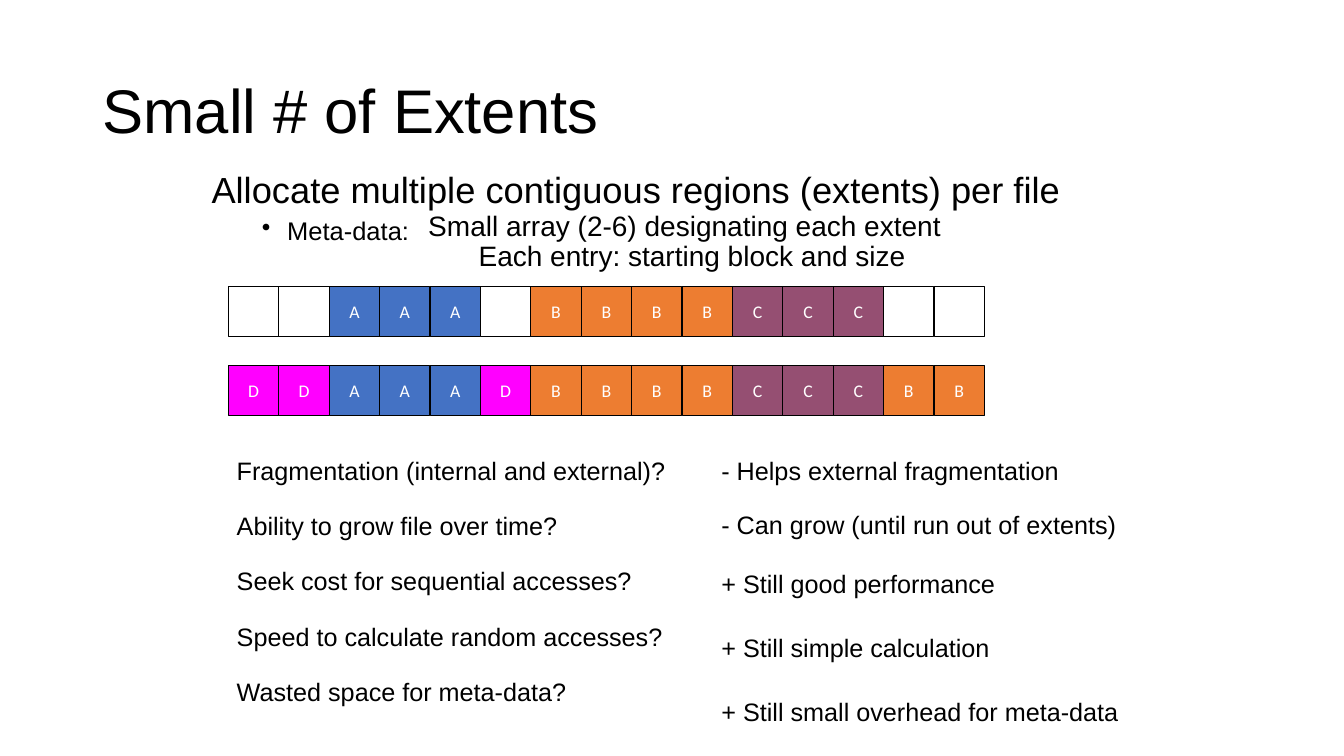
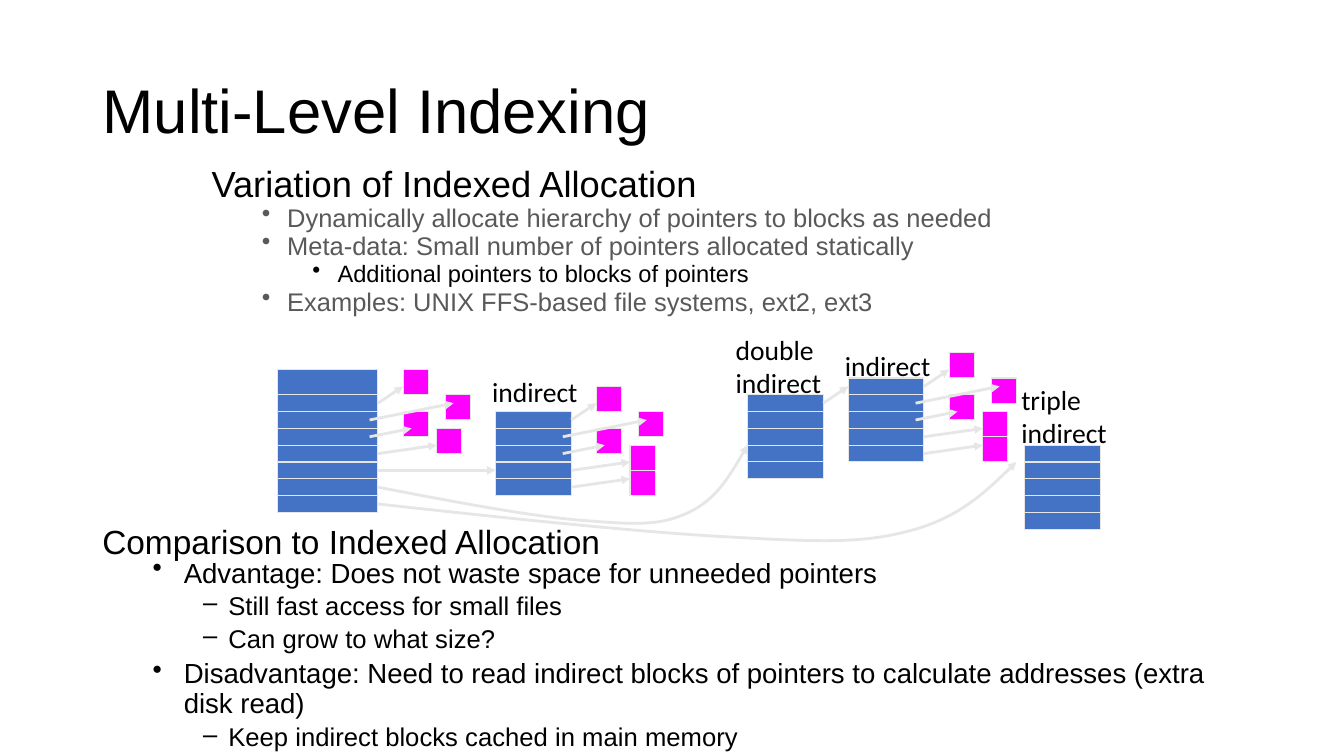
from dataclasses import dataclass, replace

import pptx
import pptx.dml.color
import pptx.enum.shapes
import pptx.enum.text
import pptx.oxml
import pptx.oxml.ns
import pptx.util

RGBColor = pptx.dml.color.RGBColor
Pt = pptx.util.Pt
qn = pptx.oxml.ns.qn
ALIGN = pptx.enum.text.PP_ALIGN
ANCHOR = pptx.enum.text.MSO_ANCHOR

BLACK = RGBColor(0x00, 0x00, 0x00)
WHITE = RGBColor(0xFF, 0xFF, 0xFF)
GREY = RGBColor(0x59, 0x59, 0x59)
PALE = RGBColor(0xE7, 0xE6, 0xE6)
BLUE = RGBColor(0x44, 0x72, 0xC4)
ORANGE = RGBColor(0xED, 0x7D, 0x31)
PURPLE = RGBColor(0x95, 0x4F, 0x72)
MAGENTA = RGBColor(0xFF, 0x00, 0xFF)

FILE_COLORS = {" ": WHITE, "A": BLUE, "B": ORANGE, "C": PURPLE, "D": MAGENTA}
EMU_PER_PX = 7620


def px(length):
    return pptx.util.Emu(length * EMU_PER_PX)


@dataclass(frozen=True)
class TextStyle:
    size: float
    color: RGBColor = BLACK
    font: str = "Arial"
    spacing: float = 0.9
    before: float = 0
    level: int = 0
    indent: int = 0
    hang: int = 0
    bullet: str = ""
    align: ALIGN = ALIGN.LEFT


TITLE = TextStyle(44)
HEADING = TextStyle(25.9)
POINT = TextStyle(18.2, before=5, level=1, indent=90, hang=30, bullet="•")
TIGHT_HEADING = replace(HEADING, spacing=0.7)
TIGHT_POINT = replace(POINT, spacing=0.7, color=GREY)
TIGHT_SUBPOINT = replace(TIGHT_POINT, size=16.9, color=BLACK, level=2, indent=150)
COMPARISON = TextStyle(23.9)
VERDICT = TextStyle(19.7, before=4, level=1, indent=97, hang=37, bullet="•")
REASON = TextStyle(18.3, before=4, level=2, indent=150, hang=30, bullet="–")
DETAIL = TextStyle(20)
QUESTION = TextStyle(18, before=20)
ANSWER = TextStyle(18)
BLOCK_NAME = TextStyle(12.7, WHITE, "Calibri", spacing=1, align=ALIGN.CENTER)
NODE_LABEL = TextStyle(19.7, font="Calibri", spacing=1)


class Deck:
    def __init__(self):
        self.presentation = pptx.Presentation()
        self.presentation.slide_width = px(1600)
        self.presentation.slide_height = px(900)
        self.slide = None

    def new_slide(self, heading):
        self.slide = self.presentation.slides.add_slide(self.presentation.slide_layouts[5])
        title = self.slide.shapes.title
        title.left, title.top, title.width, title.height = map(px, (110, 48, 1380, 174))
        self.set_lines(title.text_frame, [(heading, TITLE)])
        title.text_frame.vertical_anchor = ANCHOR.MIDDLE

    def set_lines(self, frame, lines):
        frame.word_wrap = True
        frame.auto_size = pptx.enum.text.MSO_AUTO_SIZE.NONE
        for number, (words, style) in enumerate(lines):
            paragraph = frame.add_paragraph() if number else frame.paragraphs[0]
            paragraph.text = words
            paragraph.level = style.level
            paragraph.alignment = style.align
            paragraph.line_spacing = style.spacing
            paragraph.space_before = Pt(style.before if number else 0)
            properties = paragraph._p.get_or_add_pPr()
            properties.set("marL", str(px(style.indent)))
            properties.set("indent", str(px(-style.hang)))
            if style.bullet:
                bullet = pptx.oxml.parse_xml(
                    f'<a:buChar {pptx.oxml.ns.nsdecls("a")} char="{style.bullet}"/>')
                properties.append(bullet)
            for run in paragraph.runs:
                run.font.size = Pt(style.size)
                run.font.name = style.font
                run.font.color.rgb = style.color

    def text(self, left, top, width, height, *lines):
        box = self.slide.shapes.add_textbox(*map(px, (left, top, width, height)))
        self.set_lines(box.text_frame, lines)

    def block(self, left, top, width, height, fill, outline=PALE, name=""):
        block = self.slide.shapes.add_shape(
            pptx.enum.shapes.MSO_SHAPE.RECTANGLE, *map(px, (left, top, width, height)))
        block.shadow.inherit = False
        block.fill.solid()
        block.fill.fore_color.rgb = fill
        block.line.color.rgb = outline
        block.line.width = Pt(0.75)
        if name:
            self.set_lines(block.text_frame, [(name, BLOCK_NAME)])
            block.text_frame.vertical_anchor = ANCHOR.MIDDLE

    def disk(self, left, top, layout, side=60):
        for position, file in enumerate(layout):
            self.block(left + position * side, top, side, side,
                       FILE_COLORS[file], BLACK, file.strip())

    def node(self, left, top, width=90, height=100, first_row=20):
        self.block(left, top, width, height, BLUE)
        for row in range(first_row, height, 40):
            self.block(left, top + row, width, 20, BLUE)

    def point_arrow(self, pointer):
        pointer.line.color.rgb = PALE
        pointer.line.width = Pt(2)
        line = pointer.line._get_or_add_ln()
        line.append(line.makeelement(qn("a:tailEnd"), {"type": "triangle"}))

    def arrow(self, start, end):
        pointer = self.slide.shapes.add_connector(
            pptx.enum.shapes.MSO_CONNECTOR.STRAIGHT, *map(px, (*start, *end)))
        self.point_arrow(pointer)
        properties = pointer._element.spPr
        properties.append(properties.makeelement(qn("a:effectLst"), {}))

    def curve(self, start, *controls):
        builder = self.slide.shapes.build_freeform(*map(px, start))
        builder.add_line_segments([tuple(map(px, point)) for point in controls], close=False)
        pointer = builder.convert_to_shape()
        pointer.shadow.inherit = False
        pointer.fill.background()
        self.point_arrow(pointer)
        segments = list(pointer._element.iter(qn("a:lnTo")))
        outline = segments[0].getparent()
        for first in range(0, len(segments), 3):
            bezier = outline.makeelement(qn("a:cubicBezTo"), {})
            outline.append(bezier)
            for segment in segments[first:first + 3]:
                bezier.append(segment[0])
                outline.remove(segment)

    def data_blocks(self, left, top, count=5):
        corners = [(120, -30), (170, 0), (120, 20), (160, 40), (160, 70)]
        pointers = [((90, 10), (120, -10)), ((80, 30), (180, 10)), ((80, 50), (130, 40)),
                    ((90, 70), (160, 60)), ((90, 90), (160, 80))]
        for x, y in corners[:count]:
            self.block(left + x, top + y, 30, 30, MAGENTA)
        for start, end in pointers[:count]:
            self.arrow(*((left + x, top + y) for x, y in (start, end)))


def build_extents(deck):
    deck.new_slide("Small # of Extents")
    deck.text(240, 199, 1110, 130,
              ("Allocate multiple contiguous regions (extents) per file", HEADING),
              ("Meta-data:", POINT))
    deck.disk(272, 341, "  AAA BBBBCCC  ")
    deck.disk(272, 435, "DDAAADBBBBCCCBB")
    questions = ["Fragmentation (internal and external)?", "Ability to grow file over time?",
                 "Seek cost for sequential accesses?", "Speed to calculate random accesses?",
                 "Wasted space for meta-data?"]
    deck.text(270, 540, 570, 307, *((question, QUESTION) for question in questions))
    answers = {540: "- Helps external fragmentation",
               604: "- Can grow (until run out of extents)",
               675: "+ Still good performance",
               751: "+ Still simple calculation",
               827: "+ Still small overhead for meta-data"}
    for top, answer in answers.items():
        deck.text(847, top, 540, 46, (answer, ANSWER))
    deck.text(498, 247, 703, 85,
              ("Small array (2-6) designating each extent", DETAIL),
              ("Each entry: starting block and size", replace(DETAIL, indent=60)))


def build_indexing(deck):
    deck.new_slide("Multi-Level Indexing")
    deck.text(240, 200, 1110, 190,
              ("Variation of Indexed Allocation", TIGHT_HEADING),
              ("Dynamically allocate hierarchy of pointers to blocks as needed", TIGHT_POINT),
              ("Meta-data: Small number of pointers allocated statically", TIGHT_POINT),
              ("Additional pointers to blocks of pointers", TIGHT_SUBPOINT),
              ("Examples: UNIX FFS-based file systems, ext2, ext3", TIGHT_POINT))
    deck.text(110, 620, 1403, 280,
              ("Comparison to Indexed Allocation", COMPARISON),
              ("Advantage: Does not waste space for unneeded pointers",
               replace(VERDICT, spacing=0.6)),
              ("Still fast access for small files", REASON),
              ("Can grow to what size?", REASON),
              ("Disadvantage: Need to read indirect blocks of pointers to calculate "
               "addresses (extra disk read)", VERDICT),
              ("Keep indirect blocks cached in main memory", REASON))
    deck.node(330, 440, 120, 170, 30)
    for left, top in [(590, 490), (890, 470), (1010, 450), (1220, 530)]:
        deck.node(left, top)
    deck.data_blocks(360, 470, 4)
    deck.data_blocks(590, 490)
    deck.data_blocks(1010, 450)
    deck.arrow((450, 560), (590, 560))
    deck.arrow((980, 480), (1010, 460))
    deck.curve((450, 580), (544, 598), (638, 616), (700, 620), (762, 625), (788, 625),
               (820, 610), (852, 595), (871, 563), (890, 530))
    deck.curve((450, 600), (613, 618), (775, 635), (882, 640), (989, 646), (1034, 646),
               (1090, 630), (1144, 614), (1177, 582), (1210, 550))
    for left, top, label in [(574, 440, "indirect"), (864, 390, "double\nindirect"),
                             (994, 410, "indirect"), (1204, 450, "triple\nindirect")]:
        deck.text(left, top, 140, 52 + 39 * label.count("\n"), (label, NODE_LABEL))


def main():
    deck = Deck()
    build_extents(deck)
    build_indexing(deck)
    deck.presentation.save("out.pptx")


if __name__ == "__main__":
    main()
